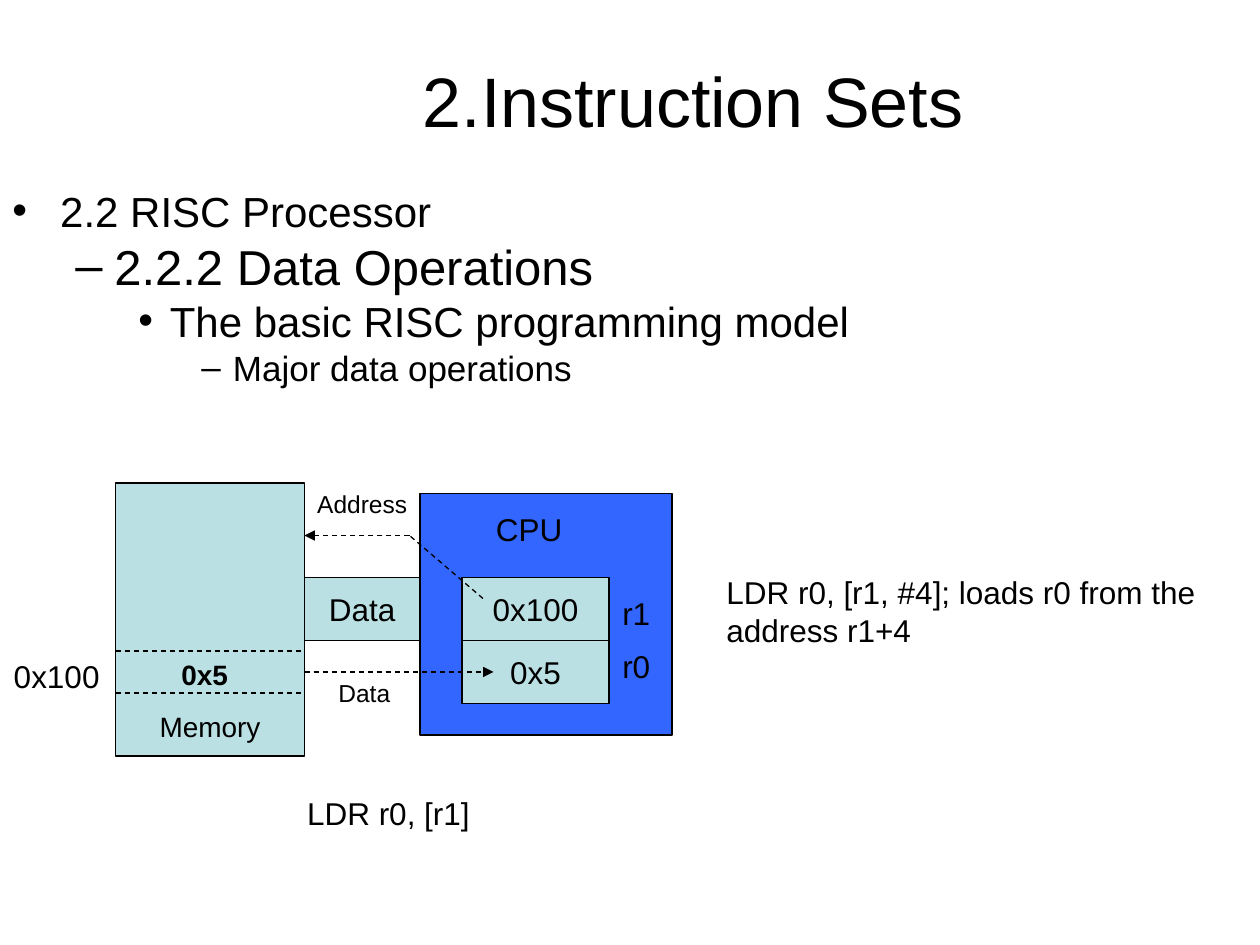
"""Build the slide on data operations, laid out on a grid of twelfths of an inch."""
from lxml.etree import SubElement
from pptx import Presentation
from pptx.dml.color import RGBColor
from pptx.enum.dml import MSO_LINE_DASH_STYLE as Dash
from pptx.enum.shapes import MSO_CONNECTOR as Connector, MSO_SHAPE as Shape
from pptx.enum.text import MSO_ANCHOR as Anchor, MSO_AUTO_SIZE as AutoSize, PP_ALIGN as Align
from pptx.oxml.ns import qn
from pptx.util import Inches, Pt

COLORS = {"ink": "000000", "pale": "BBE0E3", "blue": "3366FF"}
FONT = "Arial"
UNITS_PER_INCH = 12

TITLE = ("2.Instruction Sets", (12, 2, 108, 15))
OUTLINE_AREA = (0, 18, 120, 21)
OUTLINE = [
    ("2.2 RISC Processor", 24, "•", 0.38, 0.38, 0),
    ("2.2.2 Data Operations", 28, "–", 0.81, 0.31, 7),
    ("The basic RISC programming model", 24, "•", 1.25, 0.25, 6),
    ("Major data operations", 20, "–", 1.75, 0.25, 5),
]
BOXES = [
    ("", "pale", (11, 46, 18, 26)),
    ("", "blue", (40, 47, 24, 23)),
    ("0x100", "pale", (44, 55, 14, 6)),
    ("0x5", "pale", (44, 61, 14, 6)),
    ("Data", "pale", (29, 55, 11, 6)),
]
DASHED_LINES = [
    ((11, 62), (29, 62), False),
    ((11, 66), (29, 66), False),
    ((29, 64), (47, 64), True),
    ((46, 57), (39, 51), False),
    ((39, 51), (29, 51), True),
]
LABELS = [
    ("0x100", 18, False, 5.4, 62, 10.8),
    ("0x5", 16, True, 19.5, 62, 7.4),
    ("Memory", 16, False, 20, 67, 12.6),
    ("CPU", 18, False, 50.4, 48, 9.4),
    ("r1", 18, False, 60.6, 56, 5.6),
    ("r0", 18, False, 60.6, 61, 5.6),
    ("Address", 14, False, 34.5, 46, 11.6),
    ("Data", 14, False, 34.7, 64, 7.9),
    ("LDR r0, [r1]", 18, False, 37, 75, 18.5),
]
NOTE = ("LDR r0, [r1, #4]; loads r0 from the address r1+4", (68, 54, 49, 8.4))


def grid(values):
    return [Inches(value / UNITS_PER_INCH) for value in values]


def color(name):
    return RGBColor.from_string(COLORS[name])


def apply(target, formats):
    for name, value in formats.items():
        setattr(target, name, value)


def write(paragraph, text, size, bold=False, **formats):
    paragraph.text = text
    apply(paragraph, formats)
    apply(paragraph.font, {"size": Pt(size), "name": FONT, "bold": bold})
    paragraph.font.color.rgb = color("ink")


def add_text(slide, area, wrap):
    frame = slide.shapes.add_textbox(*grid(area)).text_frame
    apply(frame, {"word_wrap": wrap, "auto_size": AutoSize.SHAPE_TO_FIT_TEXT})
    return frame


def add_title(slide):
    text, area = TITLE
    title = slide.shapes.title
    apply(title, dict(zip(("left", "top", "width", "height"), grid(area))))
    title.text_frame.vertical_anchor = Anchor.MIDDLE
    write(title.text_frame.paragraphs[0], text, 40, alignment=Align.CENTER)


def add_outline(slide):
    frame = slide.shapes.add_textbox(*grid(OUTLINE_AREA)).text_frame
    frame.word_wrap = True
    for level, (text, size, bullet, margin, hanging, before) in enumerate(OUTLINE):
        paragraph = frame.add_paragraph() if level else frame.paragraphs[0]
        properties = paragraph._p.get_or_add_pPr()
        properties.set("marL", str(Inches(margin)))
        properties.set("indent", str(-Inches(hanging)))
        SubElement(properties, qn("a:buFont")).set("typeface", FONT)
        SubElement(properties, qn("a:buChar")).set("char", bullet)
        write(paragraph, text, size, level=level, line_spacing=0.8, space_before=Pt(before))


def add_box(slide, text, fill, area):
    box = slide.shapes.add_shape(Shape.RECTANGLE, *grid(area))
    box.shadow.inherit = False
    box.fill.solid()
    box.fill.fore_color.rgb = color(fill)
    box.line.color.rgb = color("ink")
    box.line.width = Pt(0.75)
    if text:
        apply(box.text_frame, {"word_wrap": False, "vertical_anchor": Anchor.MIDDLE})
        write(box.text_frame.paragraphs[0], text, 18, alignment=Align.CENTER)


def add_dashed_line(slide, start, end, arrow):
    connector = slide.shapes.add_connector(Connector.STRAIGHT, *grid(start + end))
    connector.line.color.rgb = color("ink")
    apply(connector.line, {"width": Pt(0.75), "dash_style": Dash.DASH})
    if arrow:
        SubElement(connector.line._get_or_add_ln(), qn("a:tailEnd")).set("type", "triangle")
    SubElement(connector._element.spPr, qn("a:effectLst"))


def add_label(slide, text, size, bold, center, top, width):
    height = (size * 1.2 / 72 + 0.1) * UNITS_PER_INCH
    frame = add_text(slide, (center - width / 2, top, width, height), wrap=False)
    write(frame.paragraphs[0], text, size, bold, alignment=Align.CENTER)


def main():
    presentation = Presentation()
    apply(presentation, {"slide_width": Inches(10), "slide_height": Inches(7.5)})
    slide = presentation.slides.add_slide(presentation.slide_layouts[5])
    add_title(slide)
    add_outline(slide)
    for add, rows in ((add_box, BOXES), (add_dashed_line, DASHED_LINES), (add_label, LABELS)):
        for row in rows:
            add(slide, *row)
    text, area = NOTE
    write(add_text(slide, area, wrap=True).paragraphs[0], text, 18)
    presentation.save("out.pptx")


if __name__ == "__main__":
    main()
